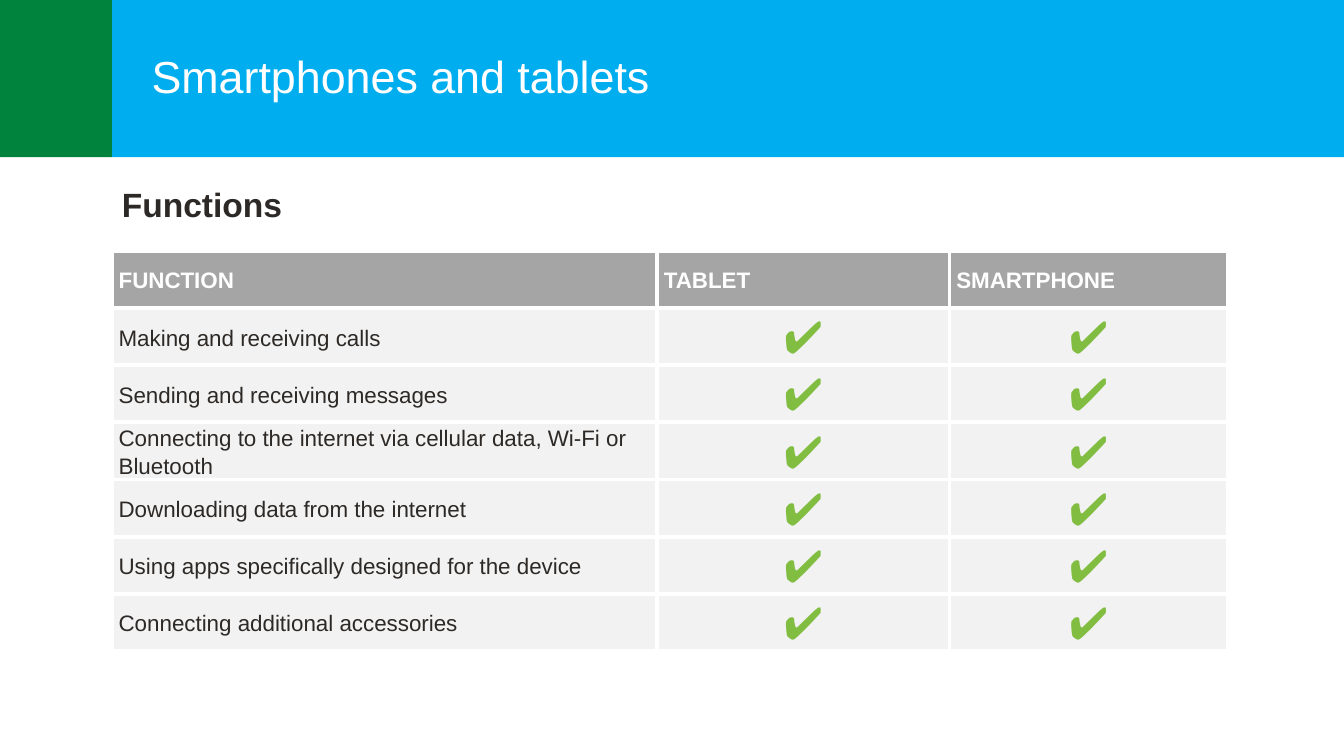
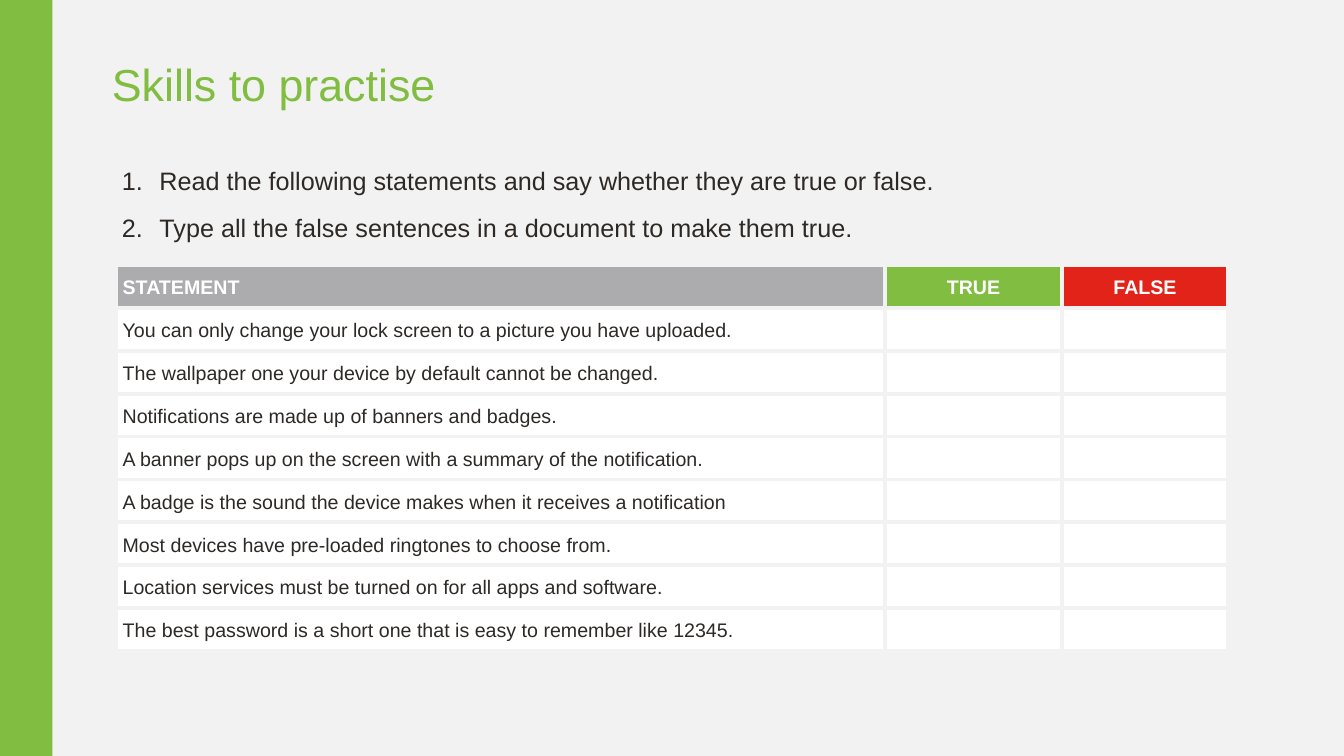
from lxml import etree
from pptx import Presentation
from pptx.dml.color import RGBColor
from pptx.enum.shapes import MSO_SHAPE
from pptx.enum.text import MSO_ANCHOR, MSO_AUTO_SIZE, PP_ALIGN
from pptx.oxml.ns import qn
from pptx.util import Cm, Pt

RECTANGLE = MSO_SHAPE.RECTANGLE
MIDDLE, TOP = MSO_ANCHOR.MIDDLE, MSO_ANCHOR.TOP
LEFT, CENTER, JUSTIFY = PP_ALIGN.LEFT, PP_ALIGN.CENTER, PP_ALIGN.JUSTIFY
NO_AUTOFIT = MSO_AUTO_SIZE.NONE

FONT = "Arial"
INK, WHITE, PALE = "2D2926", "FFFFFF", "F2F2F2"
BLUE, DARK_GREEN, GREEN, RED = "00AEEF", "00833D", "80BD41", "E2231A"
HEADER_GREY, STATEMENT_GREY = "A5A5A5", "ACACAE"

SLIDE_W, SLIDE_H = 33.87, 19.05
MARGIN, BANNER_H = 2.82, 3.96
TITLE_SIZE = 32
CHECK = "✔"

FUNCTIONS = [
    "Making and receiving calls",
    "Sending and receiving messages",
    "Connecting to the internet via cellular data, Wi-Fi or Bluetooth",
    "Downloading data from the internet",
    "Using apps specifically designed for the device",
    "Connecting additional accessories",
]
INSTRUCTIONS = [
    "Read the following statements and say whether they are true or false.",
    "Type all the false sentences in a document to make them true.",
]
STATEMENTS = [
    "You can only change your lock screen to a picture you have uploaded.",
    "The wallpaper one your device by default cannot be changed.",
    "Notifications are made up of banners and badges.",
    "A banner pops up on the screen with a summary of the notification.",
    "A badge is the sound the device makes when it receives a notification",
    "Most devices have pre-loaded ringtones to choose from.",
    "Location services must be turned on for all apps and software.",
    "The best password is a short one that is easy to remember like 12345.",
]


def paint(fill, color):
    """Make a fill solid in a hex colour."""
    fill.solid()
    fill.fore_color.rgb = RGBColor.from_string(color)


def style(paragraph, size, color, bold=False, align=LEFT, spacing=None):
    """Format a paragraph in the deck font."""
    paragraph.alignment = align
    paragraph.line_spacing = spacing
    font = paragraph.font
    font.name, font.size, font.bold = FONT, Pt(size), bold
    paint(font.fill, color)


def set_frame(frame, anchor, insets):
    """Wrap a text frame and set its anchor and left, top, right, bottom insets."""
    frame.word_wrap = True
    frame.auto_size = NO_AUTOFIT
    frame.vertical_anchor = anchor
    (frame.margin_left, frame.margin_top,
     frame.margin_right, frame.margin_bottom) = map(Cm, insets)


def add_title(slide, box, text, color, insets):
    """Place and format the title placeholder."""
    title = slide.shapes.title
    title.left, title.top, title.width, title.height = map(Cm, box)
    title.text_frame.text = text
    set_frame(title.text_frame, MIDDLE, insets)
    style(title.text_frame.paragraphs[0], TITLE_SIZE, color, spacing=0.9)
    return title


def add_block(slide, box, color):
    """Draw a plain coloured rectangle."""
    block = slide.shapes.add_shape(RECTANGLE, *map(Cm, box))
    block.shadow.inherit = False
    paint(block.fill, color)
    block.line.fill.background()


def add_text(slide, box, lines, anchor):
    """Add a text box with one paragraph per line and return its paragraphs."""
    frame = slide.shapes.add_textbox(*map(Cm, box)).text_frame
    set_frame(frame, anchor, (0.25, 0.13, 0.25, 0.13))
    frame.text = "\n".join(lines)
    return frame.paragraphs


def number(paragraph, indent):
    """Give a paragraph an automatic number with a hanging indent."""
    properties = paragraph._p.get_or_add_pPr()
    properties.set("marL", str(Cm(indent)))
    properties.set("indent", str(-Cm(indent)))
    etree.SubElement(properties, qn("a:buFont"), typeface="+mj-lt")
    etree.SubElement(properties, qn("a:buAutoNum"), type="arabicPeriod")


def add_borders(cell, color):
    """Draw the four borders of a cell."""
    properties = cell._tc.get_or_add_tcPr()
    for side in ("a:lnL", "a:lnR", "a:lnT", "a:lnB"):
        border = etree.SubElement(properties, qn(side), w=str(Pt(3)))
        solid = etree.SubElement(border, qn("a:solidFill"))
        etree.SubElement(solid, qn("a:srgbClr"), val=color)


def fill_cell(cell, text, fill, border, **look):
    """Write and format one table cell."""
    add_borders(cell, border)
    paint(cell.fill, fill)
    cell.vertical_anchor = MIDDLE
    cell.margin_left = cell.margin_right = Cm(0.17)
    cell.margin_top = cell.margin_bottom = 0
    cell.text = text
    style(cell.text_frame.paragraphs[0], **look)


def add_grid(slide, origin, widths, row_h, headers, rows, size, body_fill, border):
    """Add a table from (text, fill, alignment) headers and rows of text."""
    left, top = origin
    height = row_h * (len(rows) + 1)
    table = slide.shapes.add_table(
        len(rows) + 1, len(widths), Cm(left), Cm(top), Cm(sum(widths)), Cm(height)).table
    table.first_row = table.horz_banding = False
    for column, width in zip(table.columns, widths):
        column.width = Cm(width)
    for row in table.rows:
        row.height = Cm(row_h)
    for c, (text, fill, align) in enumerate(headers):
        fill_cell(table.cell(0, c), text, fill, border,
                  size=size, color=WHITE, bold=True, align=align, spacing=1.15)
    body = dict(size=size, color=INK, spacing=1.15)
    check = dict(size=32, color=GREEN, align=CENTER, spacing=1.07)
    for r, texts in enumerate(rows, 1):
        for c, text in enumerate(texts):
            fill_cell(table.cell(r, c), text, body_fill, border,
                      **(check if text == CHECK else body))


def build_functions(slide):
    """Build the slide that compares tablet and smartphone functions."""
    banner = add_title(slide, (MARGIN, 0, SLIDE_W - MARGIN, BANNER_H),
                       "Smartphones and tablets", WHITE, (1, 0.13, 1.5, 0.13))
    paint(banner.fill, BLUE)
    add_block(slide, (0, 0, MARGIN, BANNER_H), DARK_GREEN)
    subtitle, = add_text(slide, (MARGIN, BANNER_H, 14.1, 2.36), ["Functions"], MIDDLE)
    style(subtitle, 24, INK, bold=True)
    headers = [(text, HEADER_GREY, LEFT) for text in ("FUNCTION", "TABLET", "SMARTPHONE")]
    add_grid(slide, (MARGIN, 6.32), (13.74, 7.37, 7.01), 1.44, headers,
             [(function, CHECK, CHECK) for function in FUNCTIONS], 16, PALE, WHITE)


def build_practice(slide):
    """Build the slide with the true or false exercise."""
    paint(slide.background.fill, PALE)
    add_title(slide, (MARGIN, 0.56, 24.08, 3.28), "Skills to practise", GREEN, (0, 0, 0, 0))
    add_block(slide, (0, 0, 1.32, SLIDE_H), GREEN)
    steps = add_text(slide, (MARGIN, 4.04, 28.09, 2.24), INSTRUCTIONS, TOP)
    for step in steps:
        style(step, 18, INK, align=JUSTIFY)
        number(step, 0.95)
    steps[1].space_before = Pt(12)
    headers = [("STATEMENT", STATEMENT_GREY, LEFT),
               ("TRUE", GREEN, CENTER), ("FALSE", RED, CENTER)]
    add_grid(slide, (2.92, 6.68), (19.38, 4.47, 4.17), 1.08, headers,
             [(statement, "", "") for statement in STATEMENTS], 14, WHITE, PALE)


def main():
    """Build and save the presentation."""
    deck = Presentation()
    deck.slide_width, deck.slide_height = Cm(SLIDE_W), Cm(SLIDE_H)
    for build in (build_functions, build_practice):
        build(deck.slides.add_slide(deck.slide_layouts[5]))
    deck.save("out.pptx")


if __name__ == "__main__":
    main()
